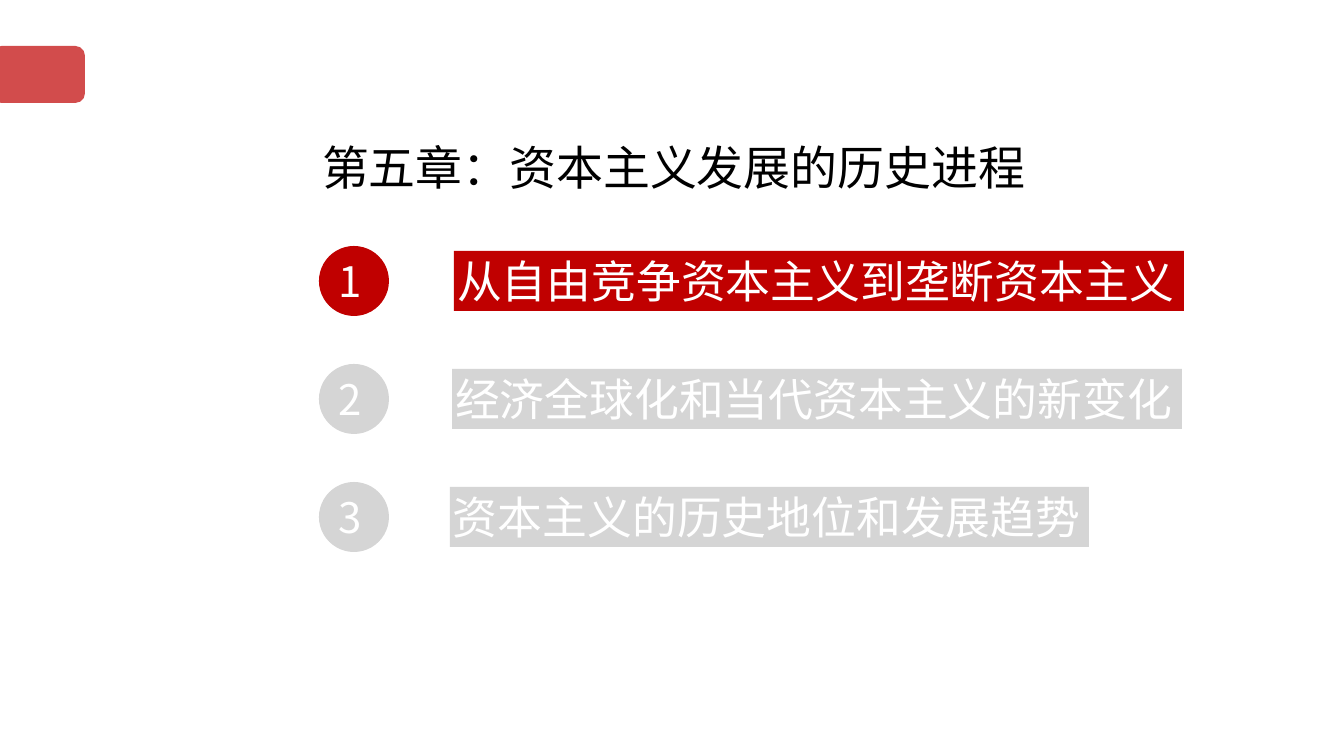
from lxml import etree
from pptx import Presentation
from pptx.dml.color import RGBColor
from pptx.enum import shapes, text
from pptx.oxml import ns
from pptx.util import Pt

PX = 914400 / 100.8
RED = RGBColor(0xC0, 0x00, 0x00)
GREY = RGBColor(0xD5, 0xD5, 0xD5)
WHITE = RGBColor(0xFF, 0xFF, 0xFF)
BLACK = RGBColor(0x00, 0x00, 0x00)
KINDS = shapes.MSO_SHAPE


def px(length):
    return round(length * PX)


class ChapterSlide:
    """Holds the style and the slide that is being filled."""

    font_name = "Noto Sans CJK SC"
    fitted = {"word_wrap": False, "auto_size": text.MSO_AUTO_SIZE.SHAPE_TO_FIT_TEXT}

    def __init__(self, deck):
        self.slide = deck.slides.add_slide(deck.slide_layouts[5])

    def set_words(self, shape, words, size, color, insets=(3, 3, 3, 3), spacing=1.0, **frame_format):
        frame = shape.text_frame
        frame.text = words
        left, top, right, bottom = map(px, insets)
        frame_format |= {
            "margin_left": left, "margin_top": top,
            "margin_right": right, "margin_bottom": bottom,
            "vertical_anchor": text.MSO_ANCHOR.MIDDLE,
        }
        for name, value in frame_format.items():
            setattr(frame, name, value)
        line = frame.paragraphs[0]
        line.alignment = text.PP_ALIGN.LEFT
        line.line_spacing = spacing
        font = line.runs[0].font
        for name, value in {"name": self.font_name, "size": Pt(size)}.items():
            setattr(font, name, value)
        font.color.rgb = color
        east_asian = etree.SubElement(line.runs[0]._r.get_or_add_rPr(), ns.qn("a:ea"))
        east_asian.set("typeface", self.font_name)

    def block(self, kind, box, color, opacity=100):
        shape = self.slide.shapes.add_shape(kind, *map(px, box))
        shape.shadow.inherit = False
        shape.fill.solid()
        shape.fill.fore_color.rgb = color
        shape.line.fill.background()
        if opacity < 100:
            tint = shape.fill._xPr.find(".//" + ns.qn("a:srgbClr"))
            etree.SubElement(tint, ns.qn("a:alpha")).set("val", str(opacity * 1000))
        return shape

    def title(self, words, box):
        heading = self.slide.shapes.title
        for name, value in zip(("left", "top", "width", "height"), box):
            setattr(heading, name, px(value))
        self.set_words(heading, words, 33.5, BLACK, spacing=1.5, **self.fitted)

    def section(self, number, words, width, color):
        """Adds a numbered circle and its label on the row of that number."""
        row = number - 1
        top = 246 + 118 * row
        circle = self.block(KINDS.OVAL, (319, top, 70, 70), color)
        self.set_words(circle, str(number), 30, WHITE, insets=(9, 0, 0, 0))
        label = self.block(KINDS.RECTANGLE, (454 - 2 * row, top + 5, width, 60), color)
        self.set_words(label, words, 32, WHITE, **self.fitted)


def main():
    deck = Presentation()
    deck.slide_width, deck.slide_height = px(1344), px(756)
    chapter = ChapterSlide(deck)
    chapter.block(KINDS.ROUNDED_RECTANGLE, (-8, 46, 93, 57), RED, opacity=70)
    chapter.title("第五章：资本主义发展的历史进程", (319, 107, 716, 91))
    sections = [
        ("从自由竞争资本主义到垄断资本主义", 730, RED),
        ("经济全球化和当代资本主义的新变化", 730, GREY),
        ("资本主义的历史地位和发展趋势", 639, GREY),
    ]
    for number, (words, width, color) in enumerate(sections, start=1):
        chapter.section(number, words, width, color)
    deck.save("out.pptx")


if __name__ == "__main__":
    main()
